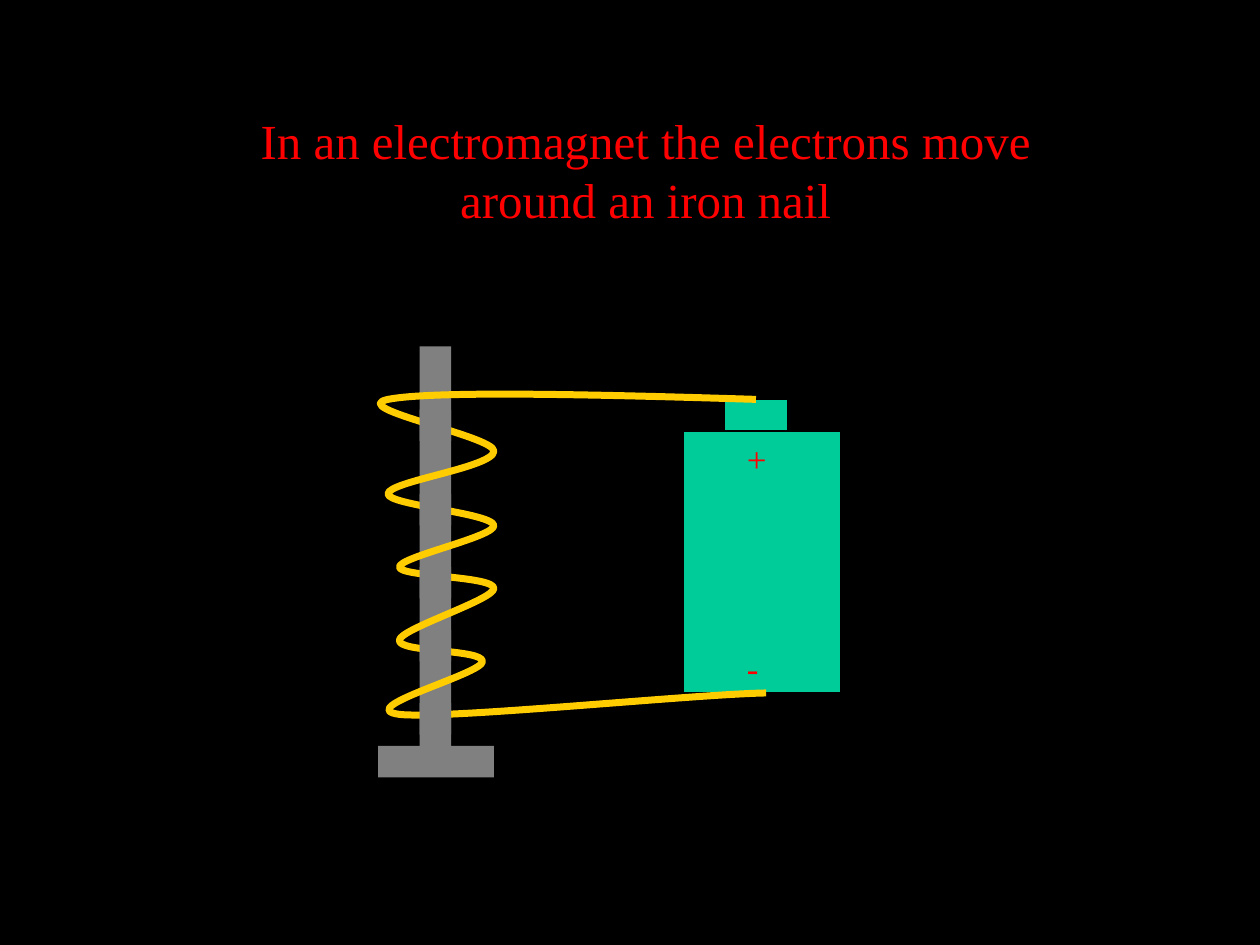
from dataclasses import dataclass

from lxml import etree
from pptx import Presentation
from pptx import util as u
from pptx.dml.color import RGBColor
from pptx.enum import shapes, text
from pptx.oxml.ns import qn

COLORS = {
    "background": "000000",
    "text": "FF0000",
    "iron": "808080",
    "battery": "00CC99",
    "outline": "000000",
    "wire": "FFCC00",
}
FONT = "Times New Roman"


@dataclass
class Block:
    x: float
    y: float
    w: float
    h: float
    color: str
    outlined: bool = False


NAIL_X, NAIL_W = 3.33, 0.25
NAIL = [
    Block(NAIL_X, 2.75, NAIL_W, 3.17, "iron"),
    Block(3, 5.92, 0.92, 0.25, "iron"),
]
BATTERY = [
    Block(5.42, 3.42, 1.25, 2.08, "battery", True),
    Block(5.75, 3.17, 0.5, 0.25, "battery", True),
]
NAIL_FRONTS = [
    Block(NAIL_X, y, NAIL_W, 0.25, "iron") for y in (3.25, 3.92, 4.5, 5, 5.58)
]
POLES = [("+", 3.42), ("-", 5.08)]
WIRE_START = (6, 3.17)
WIRE_CURVES = [
    [(4.72, 3.13), (3.43, 3.1), (3.08, 3.17)],
    [(2.74, 3.24), (3.92, 3.46), (3.92, 3.58)],
    [(3.92, 3.71), (3.08, 3.82), (3.08, 3.92)],
    [(3.08, 4.01), (3.9, 4.07), (3.92, 4.17)],
    [(3.93, 4.26), (3.17, 4.42), (3.17, 4.5)],
    [(3.17, 4.58), (3.92, 4.57), (3.92, 4.67)],
    [(3.92, 4.76), (3.18, 4.99), (3.17, 5.08)],
    [(3.15, 5.18), (3.83, 5.15), (3.83, 5.25)],
    [(3.83, 5.35), (2.79, 5.62), (3.17, 5.67)],
    [(3.54, 5.71), (5.5, 5.51), (6.08, 5.5)],
]


def rgb(name: str) -> RGBColor:
    return RGBColor.from_string(COLORS[name])


def place(sp, x: float, y: float, w: float, h: float) -> None:
    sp.left, sp.top, sp.width, sp.height = map(u.Inches, (x, y, w, h))


def write(tf, words: str, size: float, align) -> None:
    tf.word_wrap = True
    tf.auto_size = text.MSO_AUTO_SIZE.NONE
    tf.vertical_anchor = text.MSO_ANCHOR.TOP
    p = tf.paragraphs[0]
    p.alignment = align
    r = p.add_run()
    r.text = words
    r.font.name = FONT
    r.font.size = u.Pt(size)
    r.font.color.rgb = rgb("text")


def add_block(s, block: Block) -> None:
    lengths = map(u.Inches, (block.x, block.y, block.w, block.h))
    sp = s.shapes.add_shape(shapes.MSO_SHAPE.RECTANGLE, *lengths)
    sp.shadow.inherit = False
    sp.fill.solid()
    sp.fill.fore_color.rgb = rgb(block.color)
    if block.outlined:
        sp.line.color.rgb = rgb("outline")
        sp.line.width = u.Pt(0.75)
    else:
        sp.line.fill.background()


def add_pole(s, sign: str, y: float) -> None:
    box = s.shapes.add_textbox(*map(u.Inches, (5.83, y, 0.33, 0.44)))
    write(box.text_frame, sign, 20, text.PP_ALIGN.LEFT)


def add_wire(s) -> None:
    builder = s.shapes.build_freeform(*WIRE_START, scale=u.Inches(1) / 1.0)
    points = [point for curve in WIRE_CURVES for point in curve]
    scaled = [(round(x * 100), round(y * 100)) for x, y in [WIRE_START] + points]
    builder = s.shapes.build_freeform(*scaled[0], scale=u.Inches(0.01))
    builder.add_line_segments(scaled[1:], close=False)
    sp = builder.convert_to_shape()
    lines = list(sp._element.iter(qn("a:lnTo")))
    for i in range(0, len(lines), 3):
        curve = etree.Element(qn("a:cubicBezTo"))
        lines[i].addprevious(curve)
        for line in lines[i:i + 3]:
            curve.append(line[0])
            line.getparent().remove(line)
    sp.shadow.inherit = False
    sp.fill.background()
    sp.line.color.rgb = rgb("wire")
    sp.line.width = u.Pt(4)


def main() -> None:
    prs = Presentation()
    prs.slide_width, prs.slide_height = u.Inches(10), u.Inches(7.5)
    s = prs.slides.add_slide(prs.slide_layouts[5])
    s.background.fill.solid()
    s.background.fill.fore_color.rgb = rgb("background")

    title = s.shapes.title
    place(title, 1.75, 0.83, 6.75, 1.04)
    write(title.text_frame, "In an electromagnet the electrons move around an iron nail",
          28, text.PP_ALIGN.CENTER)

    for block in NAIL + BATTERY:
        add_block(s, block)
    for sign, y in POLES:
        add_pole(s, sign, y)
    add_wire(s)
    for block in NAIL_FRONTS:
        add_block(s, block)

    prs.save("out.pptx")


if __name__ == "__main__":
    main()
